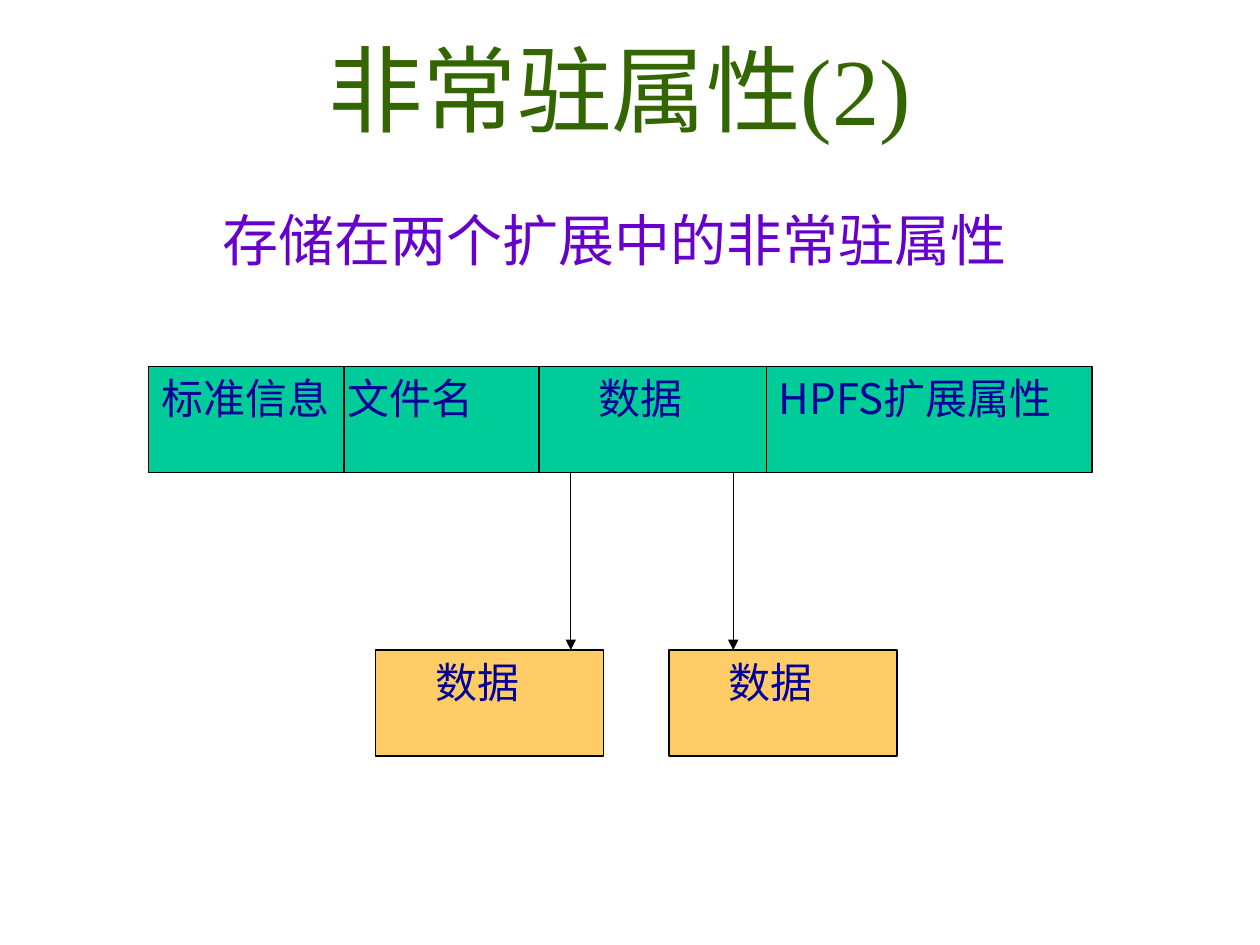
import pptx
import pptx.util
import pptx.dml.color
import pptx.enum.shapes
import pptx.enum.text
import pptx.enum.lang
import pptx.oxml
import pptx.oxml.ns

Pt = pptx.util.Pt
SERIF = "Times New Roman"
SANS = "Noto Sans CJK JP"
BOX_HEIGHT = 60.5
RECORD_TOP = 209.5
EXTENT_TOP = 371.5
DATA_WIDTH = 130.3
DATA_INSET = 34


def color(value):
    return pptx.dml.color.RGBColor.from_string(value)


def add_xml(parent, tag, **attributes):
    element = pptx.oxml.ns.qn(tag)
    child = parent.makeelement(element, attributes)
    parent.append(child)
    return child


def write(frame, text, size, hue, face, inset=7.2, centered=False, tab=None):
    align = pptx.enum.text.PP_ALIGN
    anchor = pptx.enum.text.MSO_ANCHOR
    frame_format = {
        "word_wrap": True,
        "margin_left": Pt(inset),
        "margin_right": Pt(7.2),
        "margin_top": Pt(3.6),
        "margin_bottom": Pt(3.6),
        "vertical_anchor": anchor.MIDDLE if centered else anchor.TOP,
    }
    for name, value in frame_format.items():
        setattr(frame, name, value)
    paragraph = frame.paragraphs[0]
    paragraph.alignment = align.CENTER if centered else align.LEFT
    if tab:
        stops = add_xml(paragraph._p.get_or_add_pPr(), "a:tabLst")
        add_xml(stops, "a:tab", pos=str(Pt(tab)), algn="l")
    run = paragraph.add_run()
    run.text = text
    font_format = {
        "size": Pt(size),
        "name": face,
        "language_id": pptx.enum.lang.MSO_LANGUAGE_ID.SIMPLIFIED_CHINESE,
    }
    for name, value in font_format.items():
        setattr(run.font, name, value)
    run.font.color.rgb = color(hue)
    add_xml(run._r.get_or_add_rPr(), "a:ea", typeface=SANS)


def add_label(slide, bounds, text, **text_format):
    label = slide.shapes.add_textbox(*map(Pt, bounds))
    write(label.text_frame, text, **text_format)


def add_field(slide, left, top, width, hue, text, face, **text_format):
    field = slide.shapes.add_shape(
        pptx.enum.shapes.MSO_SHAPE.RECTANGLE,
        Pt(left), Pt(top), Pt(width), Pt(BOX_HEIGHT))
    field.shadow.inherit = False
    field.fill.solid()
    field.fill.fore_color.rgb = color(hue)
    field.line.color.rgb = color("000000")
    field.line.width = Pt(0.74)
    write(field.text_frame, text, 24, "000099", face, **text_format)


def add_vertical(slide, x, top, bottom, arrow=False):
    rule = slide.shapes.add_connector(
        pptx.enum.shapes.MSO_CONNECTOR.STRAIGHT,
        Pt(x), Pt(top), Pt(x), Pt(bottom))
    rule.line.color.rgb = color("000000")
    rule.line.width = Pt(0.74)
    if arrow:
        add_xml(rule.line._get_or_add_ln(), "a:tailEnd", type="triangle")
    add_xml(rule._element.spPr, "a:effectLst")


def main():
    deck = pptx.Presentation()
    deck.slide_width, deck.slide_height = Pt(720), Pt(540)
    slide = deck.slides.add_slide(deck.slide_layouts[6])

    add_label(slide, (48, 5, 612, 90), "非常驻属性(2)",
              size=54, hue="336600", face=SERIF, centered=True)
    add_label(slide, (120, 114, 465, BOX_HEIGHT), "存储在两个扩展中的非常驻属性",
              size=32, hue="6600CC", face=SERIF)

    record_fields = [
        (308, DATA_WIDTH, "数据", SERIF, {"inset": DATA_INSET}),
        (85, 223, "标准信息\t文件名", SANS, {"tab": 106.7}),
        (438, 186, "HPFS扩展属性", SANS, {}),
    ]
    for left, width, text, face, text_format in record_fields:
        add_field(slide, left, RECORD_TOP, width, "00CC99", text, face, **text_format)
    record_bottom = RECORD_TOP + BOX_HEIGHT
    add_vertical(slide, 196.5, RECORD_TOP, record_bottom)

    for extent_left, pointer_x in ((214.6, 326.2), (382.3, 419)):
        add_field(slide, extent_left, EXTENT_TOP, DATA_WIDTH, "FFCC66",
                  "数据", SERIF, inset=DATA_INSET)
        add_vertical(slide, pointer_x, record_bottom, EXTENT_TOP, arrow=True)

    deck.save("out.pptx")


main()
